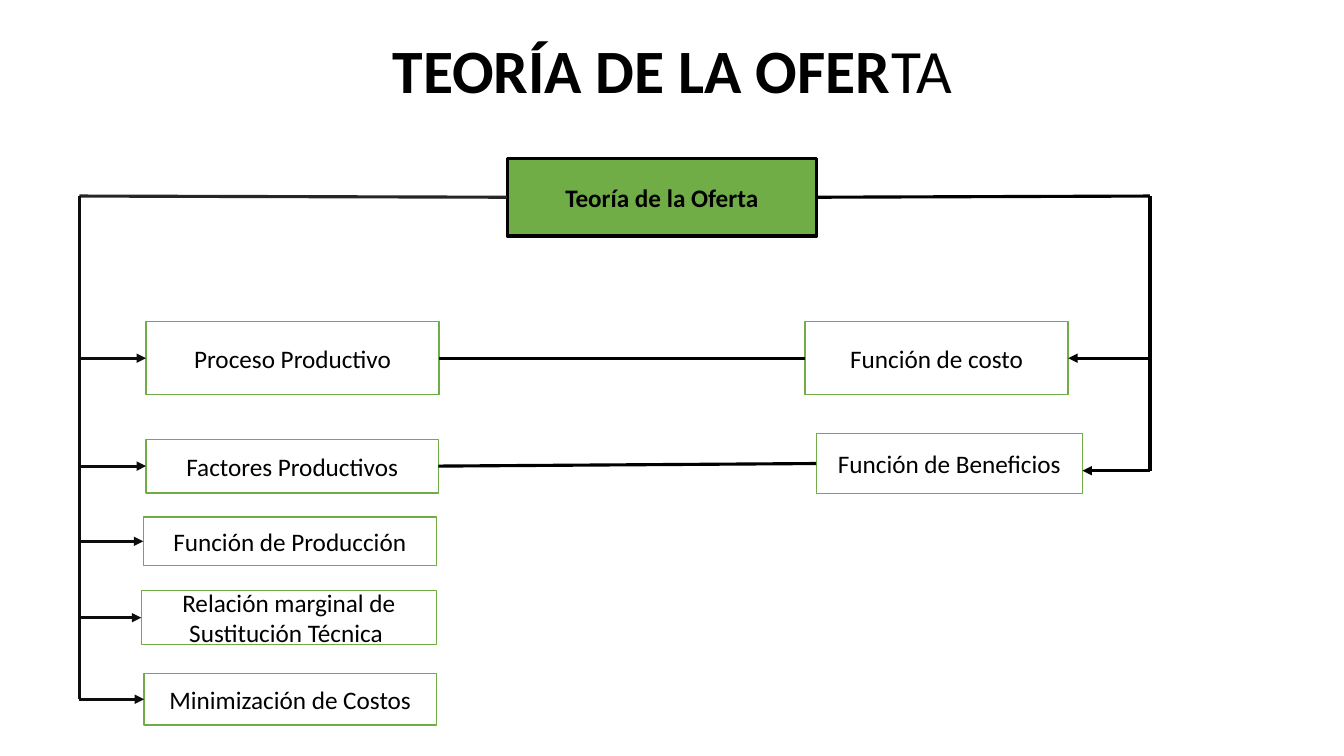
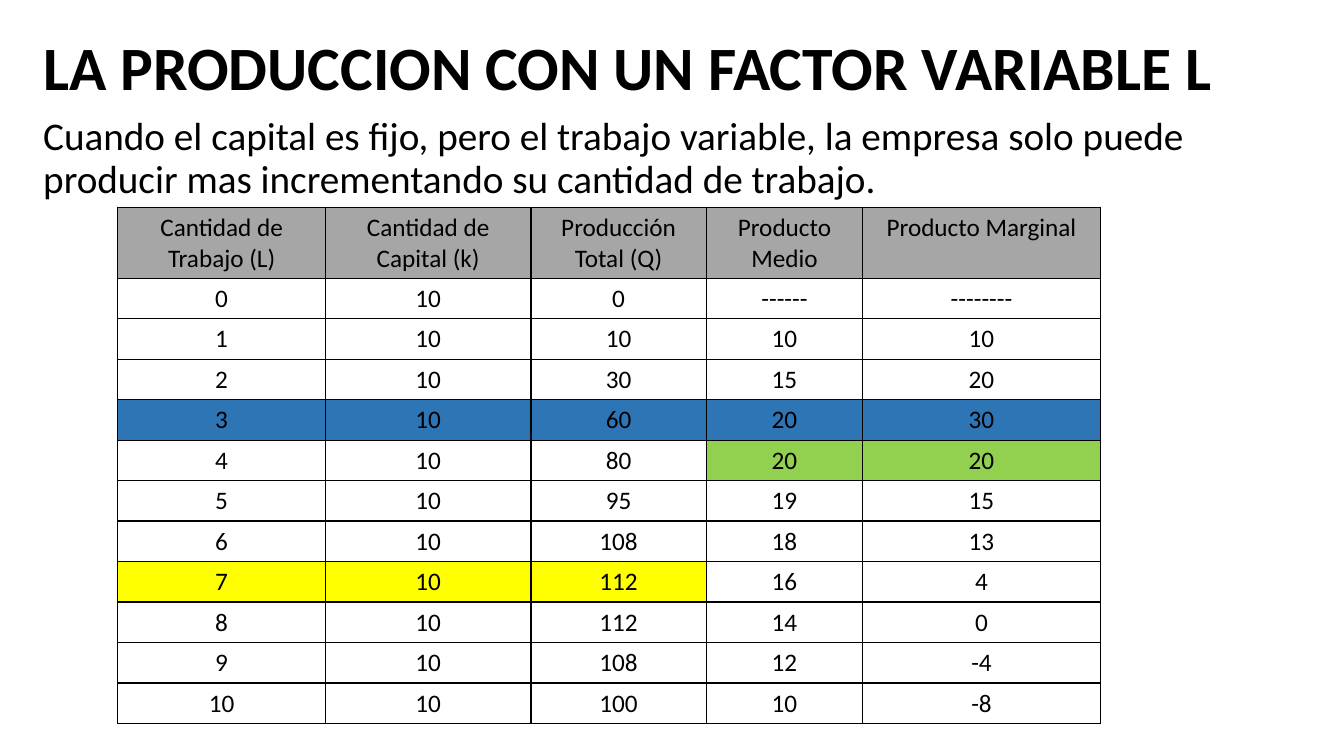
from lxml.etree import SubElement
from pptx import Presentation
from pptx.dml.color import RGBColor
from pptx.enum.shapes import MSO_CONNECTOR, MSO_SHAPE
from pptx.enum.text import MSO_ANCHOR, PP_ALIGN
from pptx.oxml.ns import qn
from pptx.util import Cm, Pt

FONT = "Calibri"
COLORS = {
    "text": "000000",
    "paper": "FFFFFF",
    "green": "70AD47",
    "line": "000000",
    "root_line": "262626",
    "branch_line": "0D0D0D",
    "header": "A6A6A6",
    "blue": "2E75B6",
    "lime": "92D050",
    "yellow": "FFFF00",
}
TOP, LEFT, BOTTOM, RIGHT = range(4)

MAP_TITLE = [("TEORÍA DE LA OFER", True), ("TA", False)]
THEORY = ("Teoría de la Oferta", 12.78, 3.99, 7.8, 1.96)
PRODUCTION_TOPICS = [
    ("Proceso Productivo", 3.68, 8.1, 7.39, 1.85),
    ("Factores Productivos", 3.68, 11.07, 7.37, 1.35),
    ("Función de Producción", 3.61, 13.03, 7.39, 1.22),
    ("Relación marginal de Sustitución Técnica ", 3.56, 14.88, 7.44, 1.37),
    ("Minimización de Costos", 3.63, 16.97, 7.37, 1.3),
]
RESULT_TOPICS = [
    ("Función de costo", 20.29, 8.1, 6.63, 1.85),
    ("Función de Beneficios", 20.57, 10.92, 6.71, 1.52),
]
LEFT_TRUNK, RIGHT_TRUNK = 2.0, 28.98
TRUNK_TOP = 4.94
BENEFITS_ARROW_Y = 11.86

TABLE_TITLE = [("LA PRODUCCION CON UN FACTOR VARIABLE L", True)]
INTRO = ("Cuando el capital es fijo, pero el trabajo variable, la empresa solo "
         "puede producir mas incrementando su cantidad de trabajo.")
HEADINGS = ["Cantidad de Trabajo (L)", "Cantidad de Capital (k)",
            "Producción Total (Q)", "Producto Medio", "Producto Marginal"]
CAPITAL = 10
OUTPUTS = [
    (0, "------", "--------"),
    (10, 10, 10),
    (30, 15, 20),
    (60, 20, 30),
    (80, 20, 20),
    (95, 19, 15),
    (108, 18, 13),
    (112, 16, 4),
    (112, 14, 0),
    (108, 12, -4),
    (100, 10, -8),
]
COLUMN_WIDTHS = [5.23, 5.18, 4.42, 3.94, 5.99]
HEADER_HEIGHT, ROW_HEIGHT = 1.78, 1.02
HIGHLIGHTS = {
    3: ("blue", range(5)),
    4: ("lime", range(3, 5)),
    7: ("yellow", range(3)),
}


def color(name):
    return RGBColor.from_string(COLORS[name])


def style(paragraph, size, bold=False, align=PP_ALIGN.CENTER):
    paragraph.alignment = align
    font = paragraph.font
    font.name, font.size, font.bold = FONT, Pt(size), bold
    font.color.rgb = color("text")


def add_text(slide, runs, place, size, align, anchor):
    frame = slide.shapes.add_textbox(*map(Cm, place)).text_frame
    frame.word_wrap = True
    frame.vertical_anchor = anchor
    paragraph = frame.paragraphs[0]
    paragraph.line_spacing = 0.9
    style(paragraph, size, align=align)
    for words, bold in runs:
        run = paragraph.add_run()
        run.text = words
        run.font.bold = bold


def add_title(slide, runs, place, align):
    add_text(slide, runs, place, 44, align, MSO_ANCHOR.MIDDLE)


def add_topic(slide, topic, fill="paper", outline="green", weight=1, bold=False):
    words, *place = topic
    box = slide.shapes.add_shape(MSO_SHAPE.RECTANGLE, *map(Cm, place))
    box.shadow.inherit = False
    box.fill.solid()
    box.fill.fore_color.rgb = color(fill)
    box.line.color.rgb = color(outline)
    box.line.width = Pt(weight)
    frame = box.text_frame
    frame.word_wrap = True
    frame.vertical_anchor = MSO_ANCHOR.MIDDLE
    frame.text = words
    style(frame.paragraphs[0], 18, bold)
    return box


def side_middle(box, side):
    x = box.left + (0, 0, 0, box.width)[side]
    return x, box.top + box.height // 2


def add_line(slide, start, end, ink="line", arrow=False):
    ends = [side_middle(*e) if hasattr(e[0], "shape_id") else tuple(map(Cm, e))
            for e in (start, end)]
    line = slide.shapes.add_connector(MSO_CONNECTOR.STRAIGHT, *ends[0], *ends[1])
    if hasattr(start[0], "shape_id"):
        line.begin_connect(*start)
    if hasattr(end[0], "shape_id"):
        line.end_connect(*end)
    line.line.color.rgb = color(ink)
    line.line.width = Pt(2.25)
    if arrow:
        SubElement(line.line._get_or_add_ln(), qn("a:tailEnd"), type="triangle")
    SubElement(line._element.spPr, qn("a:effectLst"))


def add_borders(cell):
    properties = cell._tc.get_or_add_tcPr()
    for edge in ("a:lnL", "a:lnR", "a:lnT", "a:lnB"):
        border = SubElement(properties, qn(edge), w=str(Pt(1)))
        fill = SubElement(border, qn("a:solidFill"))
        SubElement(fill, qn("a:srgbClr"), val=COLORS["line"])


def fill_cell(cell, words, fill):
    cell.text = str(words)
    style(cell.text_frame.paragraphs[0], 18)
    add_borders(cell)
    if fill:
        cell.fill.solid()
        cell.fill.fore_color.rgb = color(fill)
    else:
        cell.fill.background()


def build_map(slide):
    add_title(slide, MAP_TITLE, (2.34, 0.41, 29.21, 2.87), PP_ALIGN.CENTER)
    theory = add_topic(slide, THEORY, "green", "line", 2.25, True)
    production = [add_topic(slide, topic) for topic in PRODUCTION_TOPICS]
    results = [add_topic(slide, topic) for topic in RESULT_TOPICS]

    add_line(slide, (theory, LEFT), (LEFT_TRUNK, TRUNK_TOP), "root_line")
    levels = [side_middle(box, LEFT)[1] / Cm(1) for box in production]
    add_line(slide, (LEFT_TRUNK, TRUNK_TOP), (LEFT_TRUNK, levels[-1]), "branch_line")
    for box, level in zip(production, levels):
        add_line(slide, (LEFT_TRUNK, level), (box, LEFT), "branch_line", True)

    cost, benefits = results
    add_line(slide, (theory, RIGHT), (RIGHT_TRUNK, TRUNK_TOP))
    add_line(slide, (RIGHT_TRUNK, TRUNK_TOP), (RIGHT_TRUNK, BENEFITS_ARROW_Y))
    cost_level = side_middle(cost, RIGHT)[1] / Cm(1)
    add_line(slide, (RIGHT_TRUNK, cost_level), (cost, RIGHT), arrow=True)
    benefits_edge = (benefits.left + benefits.width) / Cm(1)
    add_line(slide, (RIGHT_TRUNK, BENEFITS_ARROW_Y),
             (benefits_edge, BENEFITS_ARROW_Y), arrow=True)
    for source, result in zip(production, results):
        add_line(slide, (source, RIGHT), (result, LEFT))


def build_table(slide):
    add_title(slide, TABLE_TITLE, (0.84, 0.36, 31.47, 2.84), PP_ALIGN.LEFT)
    add_text(slide, [(INTRO, False)], (0.84, 2.82, 32.41, 3.2), 28,
             PP_ALIGN.LEFT, MSO_ANCHOR.TOP)

    rows = [HEADINGS] + [(labor, CAPITAL, *output)
                         for labor, output in enumerate(OUTPUTS)]
    height = HEADER_HEIGHT + ROW_HEIGHT * len(OUTPUTS)
    table = slide.shapes.add_table(
        len(rows), len(HEADINGS), Cm(2.97), Cm(5.23),
        Cm(sum(COLUMN_WIDTHS)), Cm(height)).table
    table.first_row = table.horz_banding = False
    for column, width in zip(table.columns, COLUMN_WIDTHS):
        column.width = Cm(width)
    for number, values in enumerate(rows):
        table.rows[number].height = Cm(ROW_HEIGHT if number else HEADER_HEIGHT)
        tint, tinted = HIGHLIGHTS.get(number - 1, (None, ()))
        if number == 0:
            tint, tinted = "header", range(len(HEADINGS))
        for position, value in enumerate(values):
            fill_cell(table.cell(number, position), value,
                      tint if position in tinted else None)


def main():
    deck = Presentation()
    deck.slide_width, deck.slide_height = Cm(33.87), Cm(19.05)
    for build in (build_map, build_table):
        build(deck.slides.add_slide(deck.slide_layouts[6]))
    deck.save("out.pptx")


if __name__ == "__main__":
    main()
